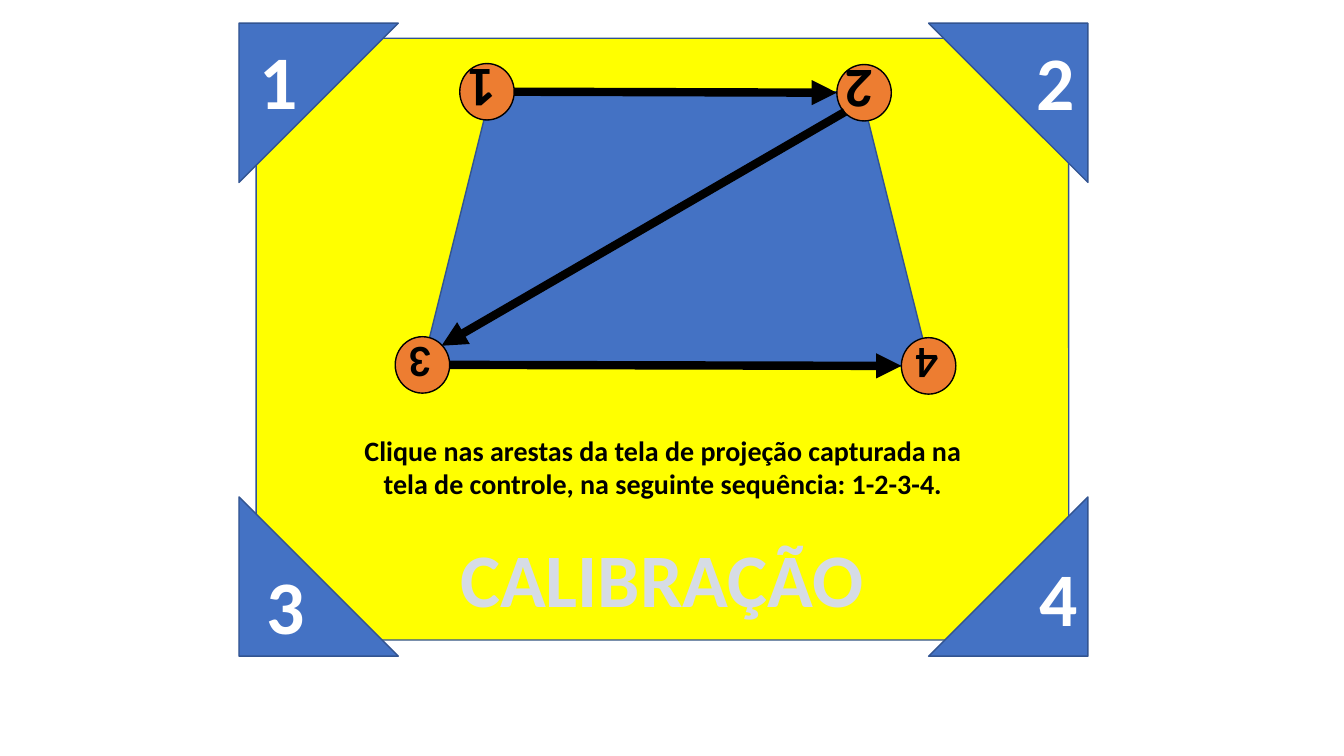
from lxml import etree
from pptx import Presentation
from pptx.dml.color import RGBColor
from pptx.enum.dml import MSO_PATTERN
from pptx.enum.shapes import MSO_CONNECTOR, MSO_SHAPE
from pptx.enum.text import MSO_ANCHOR, MSO_AUTO_SIZE, PP_ALIGN
from pptx.oxml.ns import qn
from pptx.util import Inches, Pt

STRAIGHT = MSO_CONNECTOR.STRAIGHT
ROUNDED, TRAPEZOID = MSO_SHAPE.ROUNDED_RECTANGLE, MSO_SHAPE.TRAPEZOID
TRIANGLE, OVAL = MSO_SHAPE.RIGHT_TRIANGLE, MSO_SHAPE.OVAL
CENTER, MIDDLE = PP_ALIGN.CENTER, MSO_ANCHOR.MIDDLE
GROW = MSO_AUTO_SIZE.SHAPE_TO_FIT_TEXT
UP_DIAGONAL = MSO_PATTERN.DARK_UPWARD_DIAGONAL

COLORS = {
    "yellow": "FFFF00", "blue": "4472C4", "edge": "325491", "orange": "ED7D31",
    "black": "000000", "white": "FFFFFF", "slate": "44546A", "pale": "D6DCE5",
    "outline": "333F50",
}
COLORS_RGB = {name: RGBColor.from_string(value) for name, value in COLORS.items()}

deck = Presentation()
deck.slide_width, deck.slide_height = Inches(13.33), Inches(7.5)
page = deck.slides.add_slide(deck.slide_layouts[6])


def add_shape(kind, left, top, width, height, fill, line="edge", rotation=0):
    shape = page.shapes.add_shape(
        kind, Inches(left), Inches(top), Inches(width), Inches(height))
    shape.shadow.inherit = False
    shape.rotation = rotation
    shape.fill.solid()
    shape.fill.fore_color.rgb = COLORS_RGB[fill]
    shape.line.color.rgb = COLORS_RGB[line]
    shape.line.width = Pt(1)
    return shape


def add_text(text, size, color="black", at=None, shape=None, wrap=True):
    """Write bold centred text in a shape, or in a new text box placed at `at`."""
    box = shape or page.shapes.add_textbox(*(Inches(length) for length in at))
    frame = box.text_frame
    frame.word_wrap = wrap
    if shape:
        frame.vertical_anchor = MIDDLE
    else:
        frame.auto_size = GROW
    para = frame.paragraphs[0]
    para.alignment = CENTER
    span = para.add_run()
    span.text = text
    span.font.name, span.font.size, span.font.bold = "Calibri", Pt(size), True
    span.font.fill.solid()
    span.font.fill.fore_color.rgb = COLORS_RGB[color]
    return span


# Projection screen
card = add_shape(ROUNDED, 2.54, 0.38, 8.06, 5.97, "yellow")
card.adjustments[0] = 0.055
add_text("Clique nas arestas da tela de projeção capturada na tela de controle, "
         "na seguinte sequência: 1-2-3-4.", 20, at=(3.34, 4.25, 6.47, 0.77))
add_shape(TRAPEZOID, 4.19, 0.91, 5.03, 2.72, "blue")

# Numbered vertices, upside down
for number, left, top, size in [("4", 8.94, 3.35, 32), ("3", 3.92, 3.34, 32),
                                ("2", 8.3, 0.64, 40), ("1", 4.56, 0.63, 40)]:
    vertex = add_shape(OVAL, left, top, 0.54, 0.56, "orange", "black", 180)
    add_text(number, size, shape=vertex)

# Click order: each arrow begins at its head
for head, tail in [((8.94, 3.63), (4.46, 3.62)),
                   ((4.38, 3.43), (8.38, 1.11)),
                   ((8.3, 0.92), (5.1, 0.91))]:
    arrow = page.shapes.add_connector(
        STRAIGHT, *(Inches(length) for length in head + tail))
    arrow.line.color.rgb = COLORS_RGB["black"]
    arrow.line.width = Pt(6)
    etree.SubElement(arrow.line._get_or_add_ln(), qn("a:headEnd"), type="triangle")
    etree.SubElement(arrow._element.spPr, qn("a:effectLst"))

# Title with patterned, outlined letters
title = add_text("CALIBRAÇÃO", 54, at=(4.44, 5.23, 4.25, 1.01), wrap=False)
title.font.fill.patterned()
title.font.fill.pattern = UP_DIAGONAL
title.font.fill.fore_color.rgb = COLORS_RGB["slate"]
title.font.fill.back_color.rgb = COLORS_RGB["pale"]
outline = etree.Element(qn("a:ln"), w=str(Pt(1)))
outline_fill = etree.SubElement(outline, qn("a:solidFill"))
etree.SubElement(outline_fill, qn("a:srgbClr"), val=COLORS["outline"])
title._r.get_or_add_rPr().insert(0, outline)

# Corner markers
for left, top, rotation in [(2.37, 0.23, 90), (9.21, 0.23, 180),
                            (2.37, 4.93, 0), (9.21, 4.93, 270)]:
    add_shape(TRIANGLE, left, top, 1.58, 1.58, "blue", rotation=rotation)
for number, left, top, width in [("1", 2.48, 0.29, 0.53), ("2", 10.18, 0.3, 0.53),
                                 ("3", 2.54, 5.5, 0.42), ("4", 10.21, 5.42, 0.42)]:
    add_text(number, 54, "white", at=(left, top, width, 1.01))

deck.save("out.pptx")
